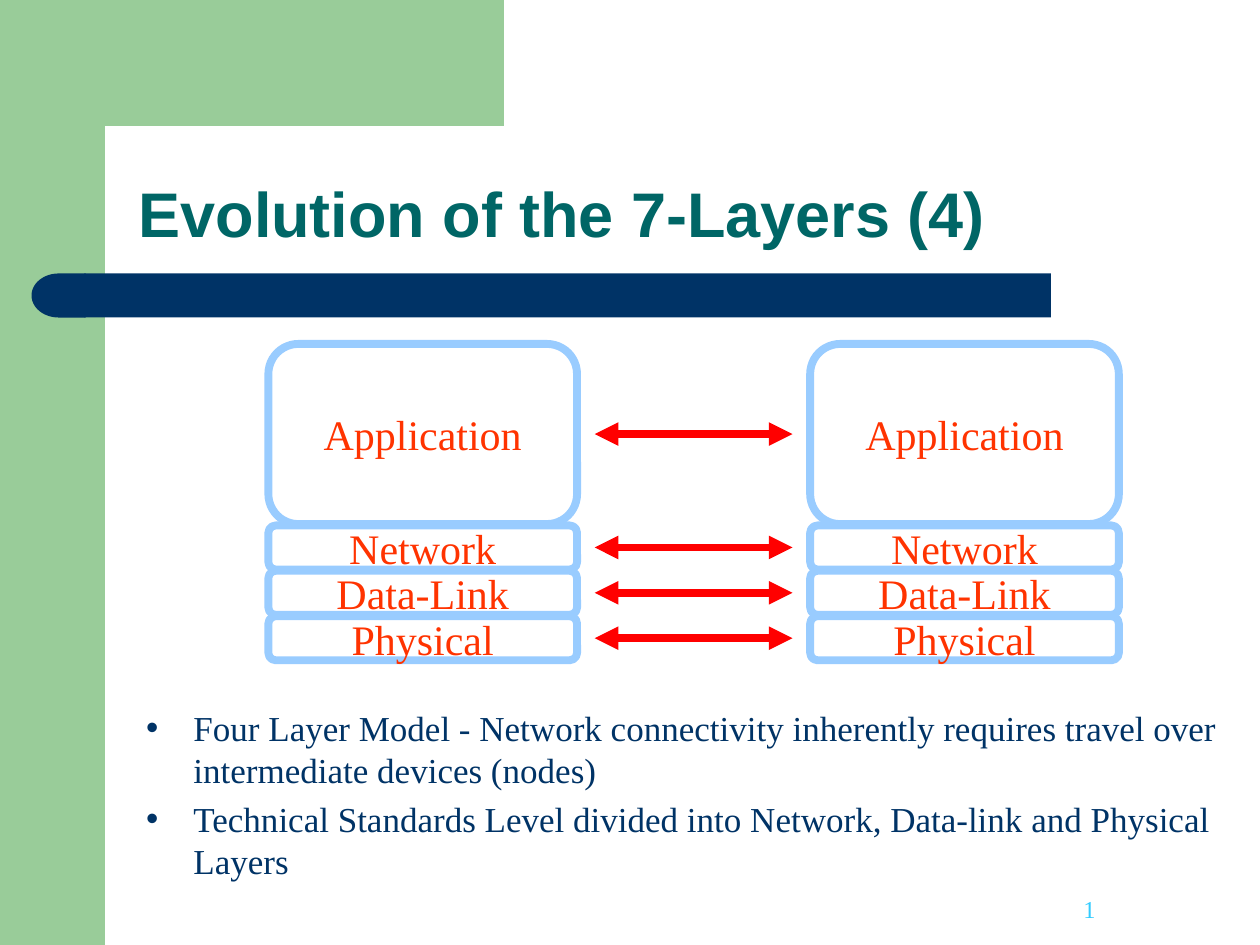
from math import cos, pi, sin

from lxml import etree
from pptx import Presentation
from pptx.dml.color import RGBColor
from pptx.enum.shapes import MSO_CONNECTOR, MSO_SHAPE
from pptx.enum.text import MSO_ANCHOR, MSO_AUTO_SIZE, PP_ALIGN
from pptx.oxml.ns import qn
from pptx.util import Inches, Pt

RECTANGLE = MSO_SHAPE.RECTANGLE
ROUNDED = MSO_SHAPE.ROUNDED_RECTANGLE
DELAY = MSO_SHAPE.FLOWCHART_DELAY
STRAIGHT = MSO_CONNECTOR.STRAIGHT
TOP, MIDDLE, BOTTOM = MSO_ANCHOR.TOP, MSO_ANCHOR.MIDDLE, MSO_ANCHOR.BOTTOM
LEFT, CENTER = PP_ALIGN.LEFT, PP_ALIGN.CENTER
NO_AUTOFIT = MSO_AUTO_SIZE.NONE

GREEN = RGBColor(0x99, 0xCC, 0x99)
NAVY = RGBColor(0x00, 0x33, 0x66)
TEAL = RGBColor(0x00, 0x66, 0x66)
WHITE = RGBColor(0xFF, 0xFF, 0xFF)
SKY = RGBColor(0x99, 0xCC, 0xFF)
ORANGE = RGBColor(0xFF, 0x33, 0x00)
RED = RGBColor(0xFF, 0x00, 0x00)
CYAN = RGBColor(0x33, 0xCC, 0xFF)

SERIF = "Times New Roman"
TITLE_FONT = {"name": "Arial", "size": Pt(36), "bold": True}
BULLET_FONT = {"name": SERIF, "size": Pt(20)}
LAYER_FONT = {"name": SERIF, "size": Pt(24)}
NUMBER_FONT = {"name": SERIF, "size": Pt(24)}

SLIDE_WIDTH, SLIDE_HEIGHT = 10, 7.5
SIDEBAR_WIDTH = SLIDE_WIDTH / 12
STACK_COLUMNS = (2.13, 6.43)
STACK_WIDTH = 2.45
STACK_TOP = 2.73
ROW_PITCH, ROW_GAP = 0.36, 0.01
LAYERS = (("Application", 4), ("Network", 1), ("Data-Link", 1), ("Physical", 1))
ARROW_GAP = 0.14

BULLETS = (
    "Four Layer Model - Network connectivity inherently requires travel over "
    "intermediate devices (nodes)",
    "Technical Standards Level divided into Network, Data-link and Physical Layers",
)


def set_values(target, values):
    for name, value in values.items():
        setattr(target, name, value)


def style_font(font, values, color):
    set_values(font, values)
    font.color.rgb = color


def place(shape, left, top, width, height):
    values = {"left": left, "top": top, "width": width, "height": height}
    set_values(shape, {name: Inches(value) for name, value in values.items()})


def paint(shape, fill, outline=None):
    shape.shadow.inherit = False
    shape.fill.solid()
    shape.fill.fore_color.rgb = fill
    if outline is None:
        shape.line.fill.background()
    else:
        shape.line.color.rgb = outline
        shape.line.width = Pt(4.5)


def add_block(slide, kind, box, fill, outline=None):
    block = slide.shapes.add_shape(kind, *map(Inches, box))
    paint(block, fill, outline)
    return block


def add_corner(slide):
    right, bottom, radius, inner_left = 3.5, 1.28, 0.33, 0.5
    center = SIDEBAR_WIDTH + radius
    steps = 16
    angles = [pi / 2 * step / steps for step in range(steps + 1)]
    curve = [(center - radius * sin(a), center - radius * cos(a)) for a in angles]
    outline = [
        (right, SIDEBAR_WIDTH), *curve, (SIDEBAR_WIDTH, bottom),
        (inner_left, bottom), (inner_left, 0),
    ]
    builder = slide.shapes.build_freeform(right, 0, scale=Inches(1))
    builder.add_line_segments(outline, close=True)
    paint(builder.convert_to_shape(), GREEN)


def add_backdrop(slide):
    add_block(slide, RECTANGLE, (0, 0, SIDEBAR_WIDTH, SLIDE_HEIGHT), GREEN)
    add_corner(slide)
    add_block(slide, RECTANGLE, (0.67, 2.17, 7.67, 0.35), NAVY)
    bar_end = add_block(slide, DELAY, (0.25, 2.17, 0.43, 0.35), NAVY)
    bar_end.rotation = 180


def fill_title(slide):
    title = slide.shapes.title
    place(title, 1, 0.84, 9, 1.2)
    title.text = "Evolution of the 7-Layers (4)"
    set_values(title.text_frame, {"vertical_anchor": BOTTOM, "auto_size": NO_AUTOFIT})
    heading = title.text_frame.paragraphs[0]
    set_values(heading, {"alignment": LEFT, "line_spacing": 0.9})
    style_font(heading.font, TITLE_FONT, TEAL)


def fill_bullets(slide):
    body = slide.placeholders[1]
    place(body, 1.06, 5.56, 9.33, 2.25)
    body.text_frame.text = "\n".join(BULLETS)
    body.text_frame.auto_size = NO_AUTOFIT
    for bullet in body.text_frame.paragraphs:
        style_font(bullet.font, BULLET_FONT, NAVY)
    body.text_frame.paragraphs[0].space_before = Pt(0)


def add_layer(slide, name, box):
    layer = add_block(slide, ROUNDED, box, WHITE, SKY)
    set_values(layer.text_frame, {"text": name, "word_wrap": False,
                                  "vertical_anchor": MIDDLE})
    label = layer.text_frame.paragraphs[0]
    label.alignment = CENTER
    style_font(label.font, LAYER_FONT, ORANGE)


def add_exchange_arrow(slide, start, end, y):
    arrow = slide.shapes.add_connector(
        STRAIGHT, Inches(start), Inches(y), Inches(end), Inches(y))
    arrow.line.color.rgb = RED
    arrow.line.width = Pt(4.5)
    for tip in ("a:headEnd", "a:tailEnd"):
        etree.SubElement(arrow.line._ln, qn(tip), type="triangle")
    etree.SubElement(arrow._element.spPr, qn("a:effectLst"))


def add_layer_stacks(slide):
    arrow_start = STACK_COLUMNS[0] + STACK_WIDTH + ARROW_GAP
    arrow_end = STACK_COLUMNS[1] - ARROW_GAP
    top = STACK_TOP
    for name, rows in LAYERS:
        height = rows * ROW_PITCH - ROW_GAP
        for left in STACK_COLUMNS:
            add_layer(slide, name, (left, top, STACK_WIDTH, height))
        add_exchange_arrow(slide, arrow_start, arrow_end, top + height / 2)
        top += rows * ROW_PITCH


def add_page_number(slide):
    box = slide.shapes.add_textbox(*map(Inches, (8.5, 6.5, 0.33, 0.77)))
    set_values(box.text_frame, {"word_wrap": True, "vertical_anchor": TOP,
                                "margin_top": Inches(0.56)})
    number = box.text_frame.paragraphs[0].add_run()
    number.text = "1"
    style_font(number.font, NUMBER_FONT, CYAN)
    number.font._element.set("baseline", "30000")


def main():
    deck = Presentation()
    deck.slide_width = Inches(SLIDE_WIDTH)
    deck.slide_height = Inches(SLIDE_HEIGHT)
    slide = deck.slides.add_slide(deck.slide_layouts[1])
    add_backdrop(slide)
    fill_title(slide)
    fill_bullets(slide)
    add_layer_stacks(slide)
    add_page_number(slide)
    deck.save("out.pptx")


if __name__ == "__main__":
    main()
